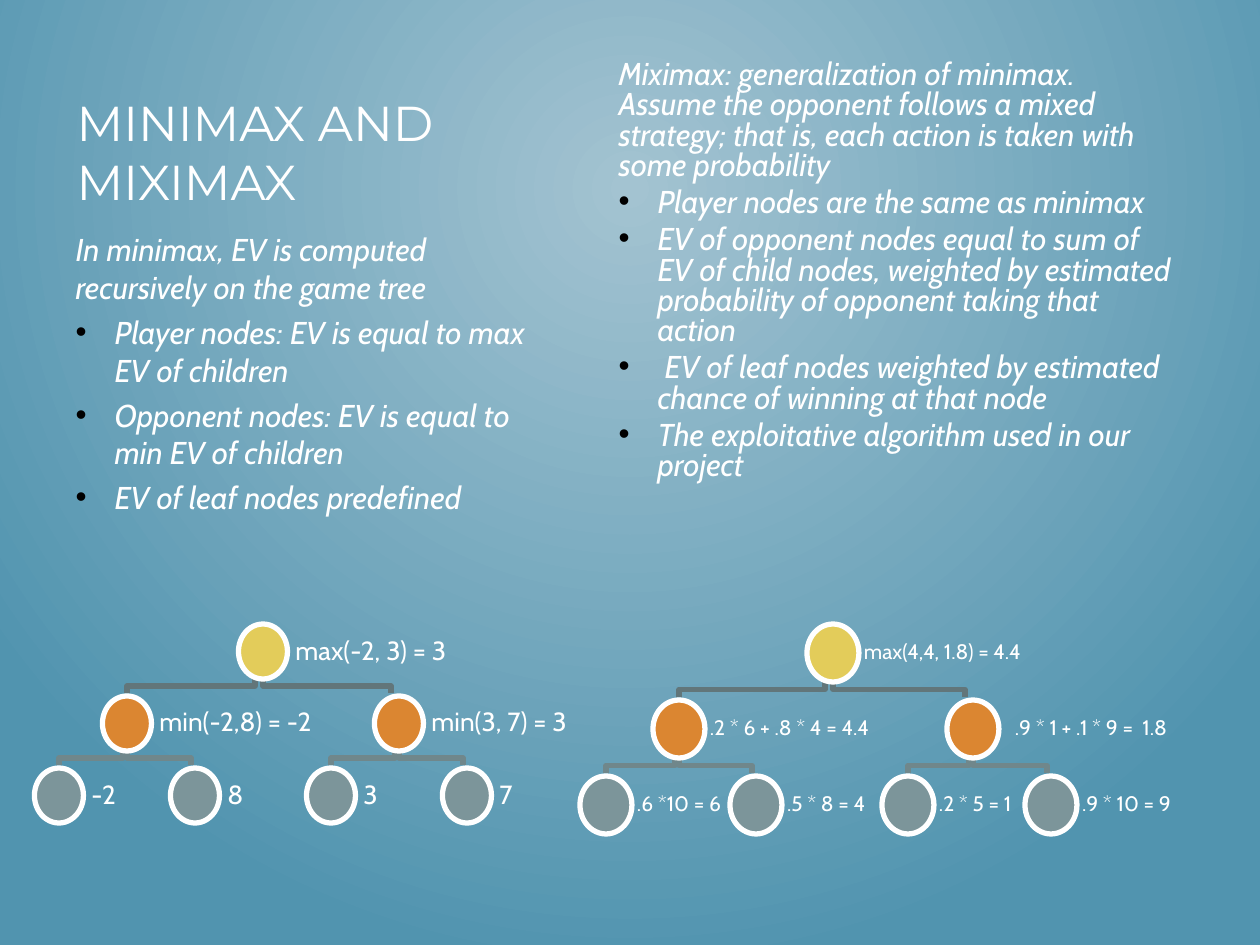
import dataclasses

import lxml.etree
import pptx
import pptx.dml.color
import pptx.enum.shapes
import pptx.enum.text
import pptx.oxml.ns
import pptx.util

SCALE = 914400 / 126


@dataclasses.dataclass(frozen=True)
class Theme:
    heading_font: str = "Montserrat"
    body_font: str = "Cabin"
    heading_size: int = 28
    body_size: int = 18
    text: str = "FFFFFF"
    bullet: str = "000000"
    glow: str = "A3C3D1"
    backdrop: str = "5194AF"
    levels: tuple = ("E3CC5A", "DB8631", "7C959A")
    branches: tuple = ("62767A", "70878B")
    line_width: int = 3


THEME = Theme()


@dataclasses.dataclass(frozen=True)
class TreeStyle:
    node: tuple
    row_step: int
    label_widths: tuple
    label_size: int
    inset: int
    space_after: int


def px(length):
    return pptx.util.Emu(round(length * SCALE))


def color(value):
    return pptx.dml.color.RGBColor.from_string(value)


def add_child(parent, tag, **attributes):
    return lxml.etree.SubElement(parent, pptx.oxml.ns.qn(tag), **attributes)


def place(shape, box):
    shape.left, shape.top, shape.width, shape.height = map(px, box)


def set_bullet(para, shown):
    properties = para._p.get_or_add_pPr()
    indent = px(39) if shown else 0
    properties.set("marL", str(indent))
    properties.set("indent", str(-indent))
    if shown:
        add_child(add_child(properties, "a:buClr"), "a:srgbClr", val=THEME.bullet)
        add_child(properties, "a:buFont", typeface="Arial")
        add_child(properties, "a:buChar", char="•")
    else:
        add_child(properties, "a:buNone")


def write(para, text, font=THEME.body_font, size=THEME.body_size, italic=False,
          spacing=1.0, before=0, after=0, bullet=None):
    if bullet is not None:
        set_bullet(para, bullet)
    para.alignment = pptx.enum.text.PP_ALIGN.LEFT
    para.line_spacing = spacing
    para.space_before = pptx.util.Pt(before)
    para.space_after = pptx.util.Pt(after)
    span = para.add_run()
    span.text = text
    span.font.name = font
    span.font.size = pptx.util.Pt(size)
    span.font.italic = italic
    span.font.color.rgb = color(THEME.text)


def prepare_frame(frame, anchor, inset=None):
    frame.word_wrap = True
    frame.auto_size = pptx.enum.text.MSO_AUTO_SIZE.NONE
    frame.vertical_anchor = anchor
    if inset is not None:
        frame.margin_left = frame.margin_right = px(inset)
        frame.margin_top = frame.margin_bottom = px(inset)


def paint_background(page):
    fill = page.background.fill
    fill.gradient()
    for stop, value in zip(fill.gradient_stops, (THEME.glow, THEME.backdrop)):
        stop.color.rgb = color(value)
    gradient = page.element.find(".//" + pptx.oxml.ns.qn("a:gradFill"))
    gradient.remove(gradient.find(pptx.oxml.ns.qn("a:lin")))
    circle = add_child(gradient, "a:path", path="circle")
    add_child(circle, "a:fillToRect", l="50000", t="20000", r="50000", b="80000")


def fill_title(title, box, text):
    place(title, box)
    prepare_frame(title.text_frame, pptx.enum.text.MSO_ANCHOR.TOP)
    write(title.text_frame.paragraphs[0], text,
          font=THEME.heading_font, size=THEME.heading_size)


def fill_list(body, box, intro, points, spacing):
    place(body, box)
    frame = body.text_frame
    prepare_frame(frame, pptx.enum.text.MSO_ANCHOR.TOP)
    write(frame.paragraphs[0], intro, italic=True, spacing=spacing, bullet=False)
    for point in points:
        write(frame.add_paragraph(), point, italic=True, spacing=spacing,
              before=4, bullet=True)


def draw_branch(group, start, end, value):
    middle = (start[1] + end[1]) / 2
    builder = group.shapes.build_freeform(px(start[0]), px(start[1]))
    builder.add_line_segments(
        [(px(start[0]), px(middle)), (px(end[0]), px(middle)), (px(end[0]), px(end[1]))],
        close=False)
    branch = builder.convert_to_shape()
    branch.shadow.inherit = False
    branch.fill.background()
    branch.line.color.rgb = color(value)
    branch.line.width = pptx.util.Pt(THEME.line_width)


def draw_node(group, center, top, level, label, shift, style):
    width, height = style.node
    node = group.shapes.add_shape(
        pptx.enum.shapes.MSO_SHAPE.OVAL,
        px(center - width / 2), px(top), px(width), px(height))
    node.shadow.inherit = False
    node.fill.solid()
    node.fill.fore_color.rgb = color(THEME.levels[level])
    node.line.color.rgb = color(THEME.text)
    node.line.width = pptx.util.Pt(THEME.line_width)
    caption = group.shapes.add_textbox(
        px(center + width / 2 + shift), px(top), px(style.label_widths[level]), px(height))
    prepare_frame(caption.text_frame, pptx.enum.text.MSO_ANCHOR.MIDDLE, style.inset)
    write(caption.text_frame.paragraphs[0], label, size=style.label_size,
          spacing=0.9, after=style.space_after)


def draw_tree(page, origin, rows, style):
    left, top = origin
    group = page.shapes.add_group_shape()
    for level, value in enumerate(THEME.branches):
        gap = 8 // (level + 1)
        start = top + level * style.row_step + style.node[1]
        end = top + (level + 1) * style.row_step - 3
        for index, (child, *_) in enumerate(rows[level + 1]):
            parent = rows[level][index // 2][0]
            before, after = (0, gap) if index % 2 else (gap, 0)
            draw_branch(group, (left + parent - before, start),
                        (left + child - after, end), value)
    for level, row in enumerate(rows):
        for center, label, *shift in row:
            draw_node(group, left + center, top + level * style.row_step,
                      level, label, sum(shift), style)


def main():
    deck = pptx.Presentation()
    deck.slide_width, deck.slide_height = px(1260), px(945)
    page = deck.slides.add_slide(deck.slide_layouts.get_by_name("Two Content"))
    paint_background(page)
    title, minimax, miximax = page.placeholders
    fill_title(title, (64, 86, 498, 147), "MINIMAX AND MIXIMAX")
    fill_list(minimax, (63, 224, 501, 338),
              "In minimax, EV is computed recursively on the game tree",
              ["Player nodes: EV is equal to max EV of children",
               "Opponent nodes: EV is equal to min EV of children",
               "EV of leaf nodes predefined"], spacing=1.0)
    fill_list(miximax, (606, 55, 578, 546),
              "Miximax: generalization of minimax. Assume the opponent follows a mixed "
              "strategy; that is, each action is taken with some probability",
              ["Player nodes are the same as minimax",
               "EV of opponent nodes equal to sum of EV of child nodes, weighted by "
               "estimated probability of opponent taking that action",
               " EV of leaf nodes weighted by estimated chance of winning at that node",
               "The exploitative algorithm used in our project"], spacing=0.8)

    step = 136
    minimax_rows = [
        [(step * 3 / 2, "max(-2, 3) = 3")],
        [(step / 2, "min(-2,8) = -2"), (step * 5 / 2, "min(3, 7) = 3")],
        [(step * index, label) for index, label in enumerate(("-2", "8", "3", "7"))],
    ]
    draw_tree(page, (59, 624), minimax_rows,
              TreeStyle((49, 55), 72, (341, 182, 74), 15, 8, 6))
    miximax_rows = [
        [(227, "max(4,4, 1.8) = 4.4")],
        [(73, ".2 * 6 + .8 * 4 = 4.4"), (367, ".9 * 1 + .1 * 9 =  1.8", 11)],
        [(0, ".6 *10 = 6"), (150, ".5 * 8 = 4"),
         (302, ".2 * 5 = 1"), (445, ".9 * 10 = 9")],
    ]
    draw_tree(page, (606, 624), miximax_rows,
              TreeStyle((52, 58), 76, (193, 176, 108), 12, 5, 5))
    deck.save("out.pptx")


if __name__ == "__main__":
    main()
